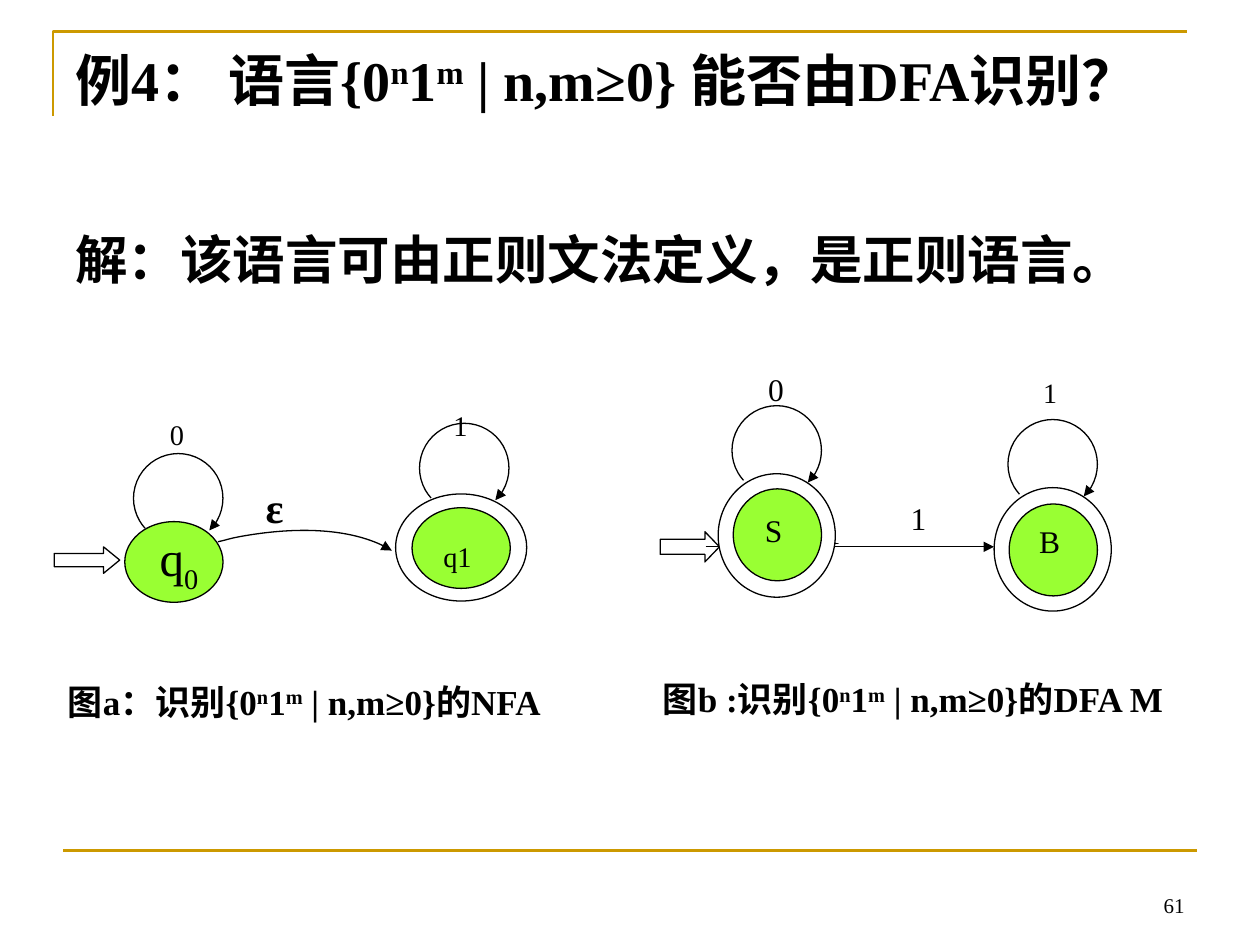
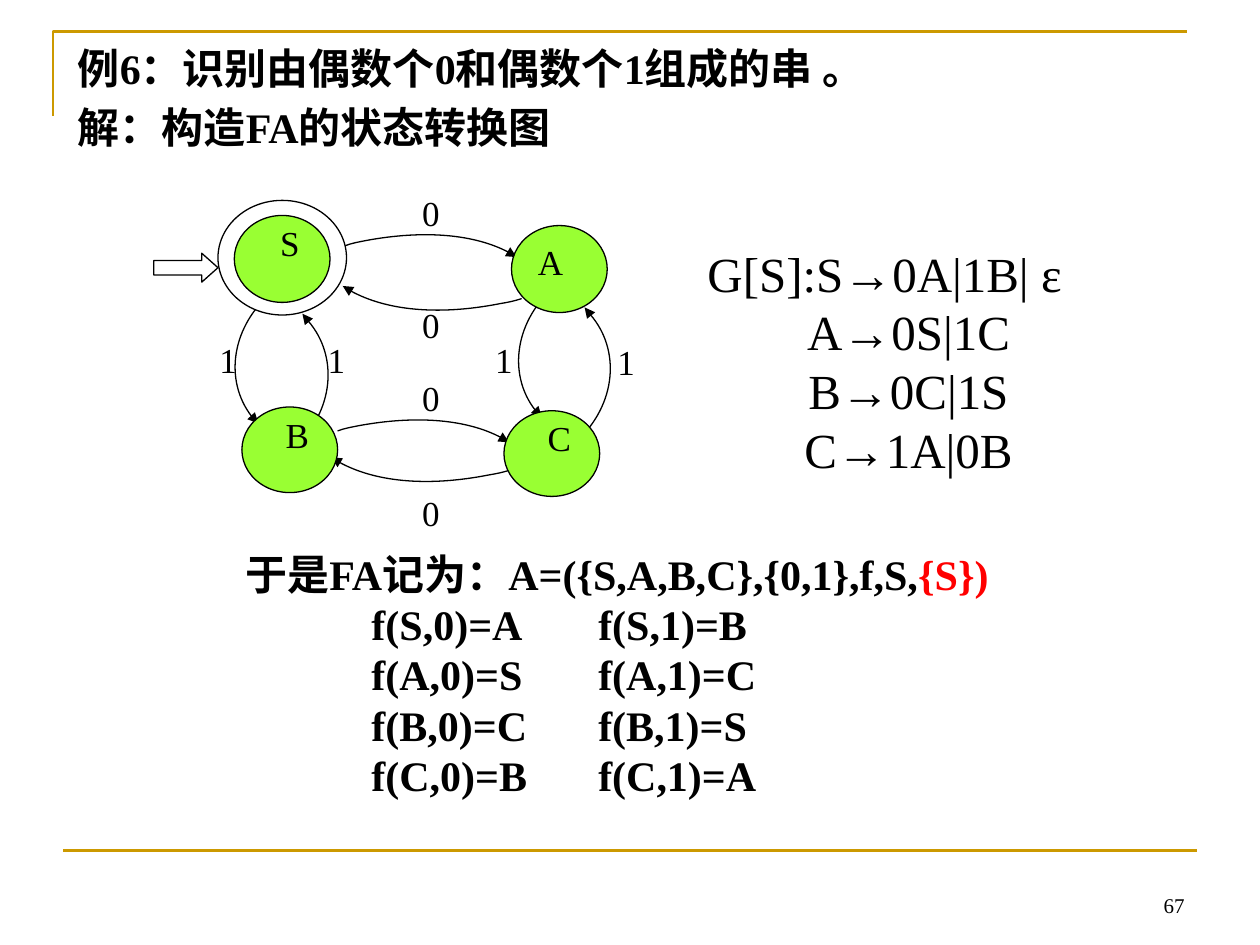
import pptx
import pptx.util
import pptx.dml.color
import pptx.enum.shapes
import pptx.enum.text
from lxml import etree

Pt = pptx.util.Pt
rgb = pptx.dml.color.RGBColor.from_string
SHAPE = pptx.enum.shapes.MSO_SHAPE
ALIGN = pptx.enum.text.PP_ALIGN
ANCHOR = pptx.enum.text.MSO_ANCHOR
NS = "{http://schemas.openxmlformats.org/drawingml/2006/main}"

FONT = "Times New Roman"
BLACK, WHITE, GOLD, GREEN, RED = "000000", "FFFFFF", "CC9900", "99FF33", "FF0000"

prs = pptx.Presentation()
prs.slide_width, prs.slide_height = pptx.util.Inches(10), pptx.util.Inches(7.5)
CELL = prs.slide_width // 10  # square grid: 10 columns by 7.5 rows


def draw(s, fill=None, line=BLACK, width=0.75, arrow=False):
    """Give a shape or connector its fill and outline, without a shadow."""
    if hasattr(s, "fill"):
        s.shadow.inherit = False
        if fill:
            s.fill.solid()
            s.fill.fore_color.rgb = rgb(fill)
        else:
            s.fill.background()
    else:
        etree.SubElement(s._element.spPr, NS + "effectLst")
    s.line.color.rgb = rgb(line)
    s.line.width = Pt(width)
    if arrow:
        etree.SubElement(s.line._get_or_add_ln(), NS + "tailEnd", type="triangle")
    return s


def write(slide, at, paragraphs, size, bold=False, align=ALIGN.CENTER, before=0):
    """Add a text box; a paragraph is a string or a list of (text, baseline, colour)."""
    tf = slide.shapes.add_textbox(*[round(v * CELL) for v in at]).text_frame
    tf.word_wrap = True
    for i, runs in enumerate(paragraphs):
        p = tf.add_paragraph() if i else tf.paragraphs[0]
        p.alignment = align
        if i and before:
            p.space_before = Pt(before)
        for text, baseline, colour in [(runs, 0, BLACK)] if isinstance(runs, str) else runs:
            r = p.add_run()
            r.text = text
            for name, value in {"name": FONT, "size": Pt(size), "bold": bold}.items():
                setattr(r.font, name, value)
            r.font.color.rgb = rgb(colour)
            rPr = r._r.get_or_add_rPr()
            rPr.set("lang", "zh-CN")
            if baseline:
                rPr.set("baseline", str(baseline * 1000))
    return tf


# Frame and page number of both slides
slides = []
for number in (61, 67):
    slide = prs.slides.add_slide(prs.slide_layouts[6])
    fb = slide.shapes.build_freeform(round(0.42 * CELL), round(0.92 * CELL))
    fb.add_line_segments([(round(x * CELL), round(0.25 * CELL)) for x in (0.42, 9.42)], close=False)
    draw(fb.convert_to_shape(), line=GOLD, width=1.5)
    ends = [round(v * CELL) for v in (0.5, 6.75, 9.5, 6.75)]
    draw(slide.shapes.add_connector(pptx.enum.shapes.MSO_CONNECTOR.STRAIGHT, *ends),
         line=GOLD, width=1.5)
    tf = write(slide, (7.17, 6.83, 2.33, 0.5), [str(number)], 12, align=ALIGN.RIGHT)
    tf.vertical_anchor = ANCHOR.BOTTOM
    slides.append(slide)
automata, even = slides

# Wording
language = [("{0", 0, BLACK), ("n", 30, BLACK), ("1", 0, BLACK), ("m", 30, BLACK)]
write(automata, (0.5, 0.31, 8.83, 0.77),
      [[("例4： 语言", 0, BLACK), *language, (" | n,m≥0} 能否由DFA识别？", 0, BLACK)]],
      32, True, ALIGN.LEFT)
write(automata, (0.5, 1.75, 9, 0.8), ["解：该语言可由正则文法定义，是正则语言。"],
      30, True, ALIGN.LEFT)
for at, start, end, align in [
    ((0.44, 5.35, 4.1, 0.43), "图a：识别", "NFA", ALIGN.LEFT),
    ((5, 5.33, 4.49, 0.47), "图b :识别", "DFA M", ALIGN.CENTER),
]:
    write(automata, at,
          [[(start, 0, BLACK), *language, (" | n,m≥0}的" + end, 0, BLACK)]], 20, True, align)

write(even, (0.52, 0.29, 9, 1.1),
      ["例6：识别由偶数个0和偶数个1组成的串 。", "解：构造FA的状态转换图"],
      24, True, ALIGN.LEFT, before=5)

# Entry arrows: slide, place, head length
for slide, at, head in [
    (automata, (0.43, 4.34, 0.52, 0.21), 0.61),
    (automata, (5.24, 4.22, 0.47, 0.24), 0.48),
    (even, (1.22, 2.01, 0.51, 0.23), 0.56),
]:
    s = slide.shapes.add_shape(SHAPE.RIGHT_ARROW, *[round(v * CELL) for v in at])
    s.adjustments[1] = head
    draw(s, WHITE)

# Step from S to B and the label at its start lie under the state circles
write(automata, (6.03, 4.02, 1.16, 0.73), ["1"], 18)
ends = [round(v * CELL) for v in (5.6, 4.34, 7.89, 4.34)]
draw(automata.shapes.add_connector(pptx.enum.shapes.MSO_CONNECTOR.STRAIGHT, *ends), arrow=True)

# Curved transitions: two Bezier segments each, relative to the start
hop = [(0.05, -0.01), (0.11, -0.03), (0.17, -0.04), (0.66, -0.13), (1.13, -0.09), (1.38, 0.07)]
over = [(0.05, -0.02), (0.11, -0.03), (0.16, -0.04), (0.64, -0.13), (1.11, -0.08), (1.36, 0.09)]
under = [(-0.06, 0.02), (-0.11, 0.03), (-0.17, 0.04), (-0.68, 0.14), (-1.16, 0.08), (-1.42, -0.1)]
down = [(-0.33, 0.27), (-0.4, 0.72), (-0.16, 1.01), (-0.15, 1.03), (-0.14, 1.04), (-0.12, 1.05)]
up = [(0.31, -0.29), (0.35, -0.74), (0.09, -1.02), (0.08, -1.03), (0.07, -1.04), (0.06, -1.06)]
for slide, x, y, bow in [
    (automata, 1.73, 4.3, hop),
    (even, 2.74, 1.95, over), (even, 2.68, 3.42, over),
    (even, 4.14, 2.37, under), (even, 4.05, 3.73, under),
    (even, 2.17, 2.31, down), (even, 4.42, 2.26, down),
    (even, 2.34, 3.55, up), (even, 4.58, 3.5, up),
]:
    fb = slide.shapes.build_freeform(round(x * CELL), round(y * CELL))
    fb.add_line_segments([(round((x + dx) * CELL), round((y + dy) * CELL)) for dx, dy in bow],
                         close=False)
    s = draw(fb.convert_to_shape(), arrow=True)
    steps = list(s._element.iter(NS + "lnTo"))
    for i in range(0, len(steps), 3):
        curve = etree.SubElement(steps[i].getparent(), NS + "cubicBezTo")
        for step in steps[i:i + 3]:
            curve.append(step[0])
            step.getparent().remove(step)

# States: slide, green circle, ring around it
for slide, inner, ring in [
    (automata, (0.99, 4.14, 0.78, 0.64), None),
    (automata, (3.27, 4.03, 0.78, 0.64), (3.14, 3.92, 1.04, 0.85)),
    (automata, (5.82, 3.88, 0.7, 0.73), (5.7, 3.76, 0.93, 0.98)),
    (automata, (8.01, 4, 0.7, 0.73), (7.89, 3.87, 0.93, 0.98)),
    (even, (1.86, 1.71, 0.76, 0.69), (1.73, 1.59, 1.02, 0.91)),
    (even, (4.06, 1.79, 0.76, 0.69), None),
    (even, (1.92, 3.23, 0.76, 0.68), None),
    (even, (4, 3.26, 0.76, 0.68), None),
]:
    for at, fill in ((ring, WHITE), (inner, GREEN)):
        if at:
            draw(slide.shapes.add_shape(SHAPE.OVAL, *[round(v * CELL) for v in at]), fill)

# Self-loops, open at the bottom from 138 to 46 degrees
for x, y in [(1.06, 3.6), (3.33, 3.36), (5.81, 3.22), (8, 3.33)]:
    s = automata.shapes.add_shape(SHAPE.ARC, *[round(v * CELL) for v in (x, y, 0.71, 0.71)])
    for i, degrees in enumerate((138, 46)):
        s.adjustments[i] = degrees * 0.6
    draw(s, arrow=True)

# State and transition labels
for x, y, text in [(3.5, 2.93, "1"), (1.25, 3, "0"), (3.42, 3.97, "q1")]:
    write(automata, (x, y, 0.78, 0.64), [[(text, -25, BLACK)]], 28, align=ALIGN.LEFT)
write(automata, (1.03, 4.14, 0.78, 0.64), [[("q", 0, BLACK), ("0", -25, BLACK)]], 28)
write(automata, (2.01, 3.77, 0.63, 0.68), ["ε"], 24, True, ALIGN.LEFT)
write(automata, (8.18, 2.93, 0.39, 0.37), ["1"], 16, align=ALIGN.LEFT)
for x, y, text in [(5.81, 2.89, "0"), (6.94, 3.91, "1"), (5.79, 4.01, "S"), (7.98, 4.09, "B")]:
    write(automata, (x, y, 0.7, 0.73), [text], 18)
for x, y, text in [
    (1.92, 1.71, "S"), (3.99, 1.86, "A"), (1.98, 3.23, "B"), (4.06, 3.26, "C"),
    (3.04, 1.47, "0"), (3.04, 2.36, "0"), (3.04, 2.94, "0"), (3.04, 3.85, "0"),
    (1.43, 2.64, "1"), (2.29, 2.64, "1"), (3.62, 2.64, "1"), (4.59, 2.65, "1"),
]:
    write(even, (x, y, 0.76, 0.69), [text], 20)

# Grammar, its later rules indented
tf = write(even, (5.41, 1.88, 3.22, 1.97),
           ["G[S]:S→0A|1B| ε", "A→0S|1C", "B→0C|1S", "C→1A|0B"], 28)
for p in tf.paragraphs[1:]:
    p._p.get_or_add_pPr().set("marL", str(round(0.38 * CELL)))

# Transition function in two tabbed columns
moves = {"S": "AB", "A": "SC", "B": "CS", "C": "BA"}
tf = write(even, (1.85, 4.3, 6.26, 2.12),
           [[("于是FA记为：A=({S,A,B,C},{0,1},f,S,", 0, BLACK), ("{S})", 0, RED)]]
           + [f"\tf({q},0)={to[0]}\tf({q},1)={to[1]}" for q, to in moves.items()],
           24, True, ALIGN.LEFT)
for p in tf.paragraphs[1:]:
    tabs = etree.SubElement(p._p.get_or_add_pPr(), NS + "tabLst")
    for stop in (1, 2.8):
        etree.SubElement(tabs, NS + "tab", pos=str(round(stop * CELL)), algn="l")

prs.save("out.pptx")
